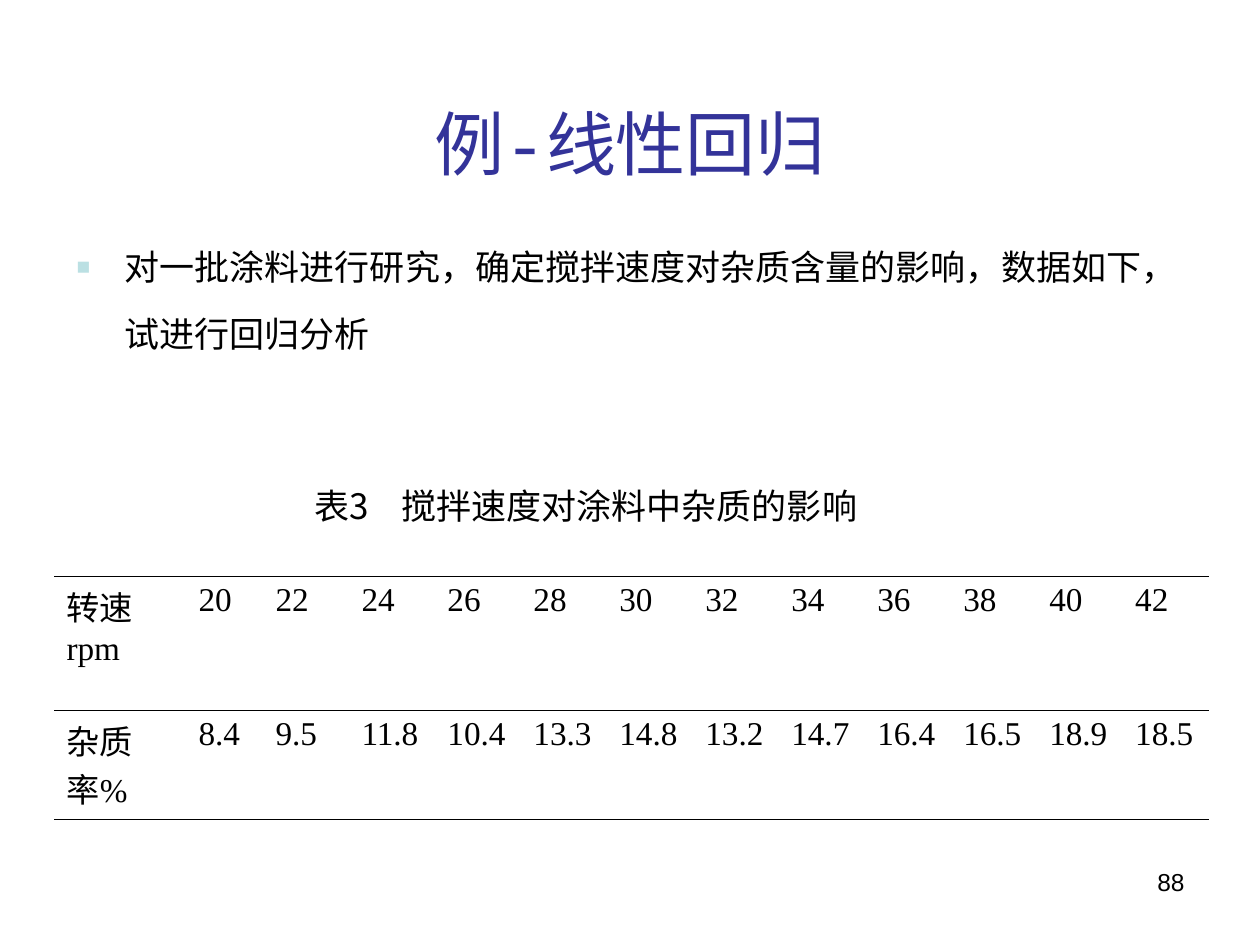
from pptx import Presentation
from pptx.dml.color import RGBColor as Color
from pptx.enum.text import MSO_ANCHOR as Anchor, MSO_AUTO_SIZE as AutoSize, PP_ALIGN as Align
from pptx.oxml import parse_xml
from pptx.oxml.ns import nsdecls
from pptx.util import Pt

SCALE = 914400 / 126
COLORS = {"title": "333399", "text": "000000", "bullet": "BBE0E3", "rule": "000000"}
CJK = "Noto Sans CJK SC"

SPEEDS = range(20, 43, 2)
IMPURITIES = [8.4, 9.5, 11.8, 10.4, 13.3, 14.8, 13.2, 14.7, 16.4, 16.5, 18.9, 18.5]


def px(length):
    return round(length * SCALE)


def element(xml):
    tag = xml.split()[0]
    return parse_xml(xml.replace(tag, f"{tag} {nsdecls('a')}", 1))


class SlideBuilder:
    def __init__(self, deck):
        self.slide = deck.slides.add_slide(deck.slide_layouts[1])

    def format(self, frame, size, font, color="text", align=Align.LEFT, spacing=1.0):
        para = frame.paragraphs[0]
        para.alignment = align
        para.line_spacing = spacing
        para.space_before = Pt(0)
        for span in para.runs:
            span.font.size = Pt(size)
            span.font.name = font
            span.font.color.rgb = Color.from_string(COLORS[color])
            span.font._element.append(element(f'<a:ea typeface="{CJK}"/>'))
        return para

    def place(self, shape, left, top, width, height, text, anchor=Anchor.TOP):
        shape.left, shape.top, shape.width, shape.height = map(px, (left, top, width, height))
        frame = shape.text_frame
        frame.text = text
        frame.word_wrap = True
        frame.auto_size = AutoSize.NONE
        frame.vertical_anchor = anchor
        return frame

    def title(self, text, *area):
        frame = self.place(self.slide.shapes.title, *area, text, Anchor.MIDDLE)
        self.format(frame, 40, "Courier New", "title", Align.CENTER, 1.6)

    def bullet(self, text, *area):
        frame = self.place(self.slide.placeholders[1], *area, text)
        para = self.format(frame, 20, CJK, spacing=1.6)
        properties = para._p.get_or_add_pPr()
        properties.set("marL", str(px(48)))
        properties.set("indent", str(px(-48)))
        for xml in (
            f'<a:buClr ><a:srgbClr val="{COLORS["bullet"]}"/></a:buClr>',
            '<a:buSzPct val="65000"/>',
            '<a:buFont typeface="Arial"/>',
            '<a:buChar char="■"/>',
        ):
            properties.append(element(xml))

    def text(self, text, *area, size=20, font=CJK, align=Align.LEFT, tab=None):
        box = self.slide.shapes.add_textbox(0, 0, 0, 0)
        para = self.format(self.place(box, *area, text), size, font, align=align)
        if tab:
            stops = f'<a:tabLst ><a:tab pos="{px(tab)}" algn="l"/></a:tabLst>'
            para._p.get_or_add_pPr().append(element(stops))

    def borders(self, cell):
        properties = cell._tc.get_or_add_tcPr()
        for side in ("lnL", "lnR"):
            properties.append(element(f'<a:{side} w="0"><a:noFill/></a:{side}>'))
        for side in ("lnT", "lnB"):
            properties.append(element(
                f'<a:{side} w="{Pt(0.45)}"><a:solidFill><a:srgbClr val="{COLORS["rule"]}"/>'
                f"</a:solidFill></a:{side}>"))

    def table(self, rows, left, top, widths, heights):
        area = map(px, (left, top, sum(widths), sum(heights)))
        table = self.slide.shapes.add_table(len(rows), len(widths), *area).table
        table.first_row = table.horz_banding = False
        for column, width in zip(table.columns, widths):
            column.width = px(width)
        for row, height, values in zip(table.rows, heights, rows):
            row.height = px(height)
            for cell, value in zip(row.cells, values):
                cell.text = str(value)
                self.format(cell.text_frame, 19, "Times New Roman")
                self.borders(cell)
                cell.fill.background()


def main():
    deck = Presentation()
    deck.slide_width, deck.slide_height = px(1260), px(945)
    page = SlideBuilder(deck)
    page.title("例-线性回归", 63, 38, 1134, 158)
    page.table([["转速rpm", *SPEEDS], ["杂质率%", *IMPURITIES]],
               54, 576, [132, 77] + [86] * 11, [134, 93])
    page.bullet("对一批涂料进行研究，确定搅拌速度对杂质含量的影响，数据如下，试进行回归分析",
                64, 214, 1142, 147)
    page.text("表3\t搅拌速度对涂料中杂质的影响", 302, 478, 804, 55, tab=87)
    page.text("88", 903, 861, 294, 66, size=14, font="Arial", align=Align.RIGHT)
    deck.save("out.pptx")


if __name__ == "__main__":
    main()
